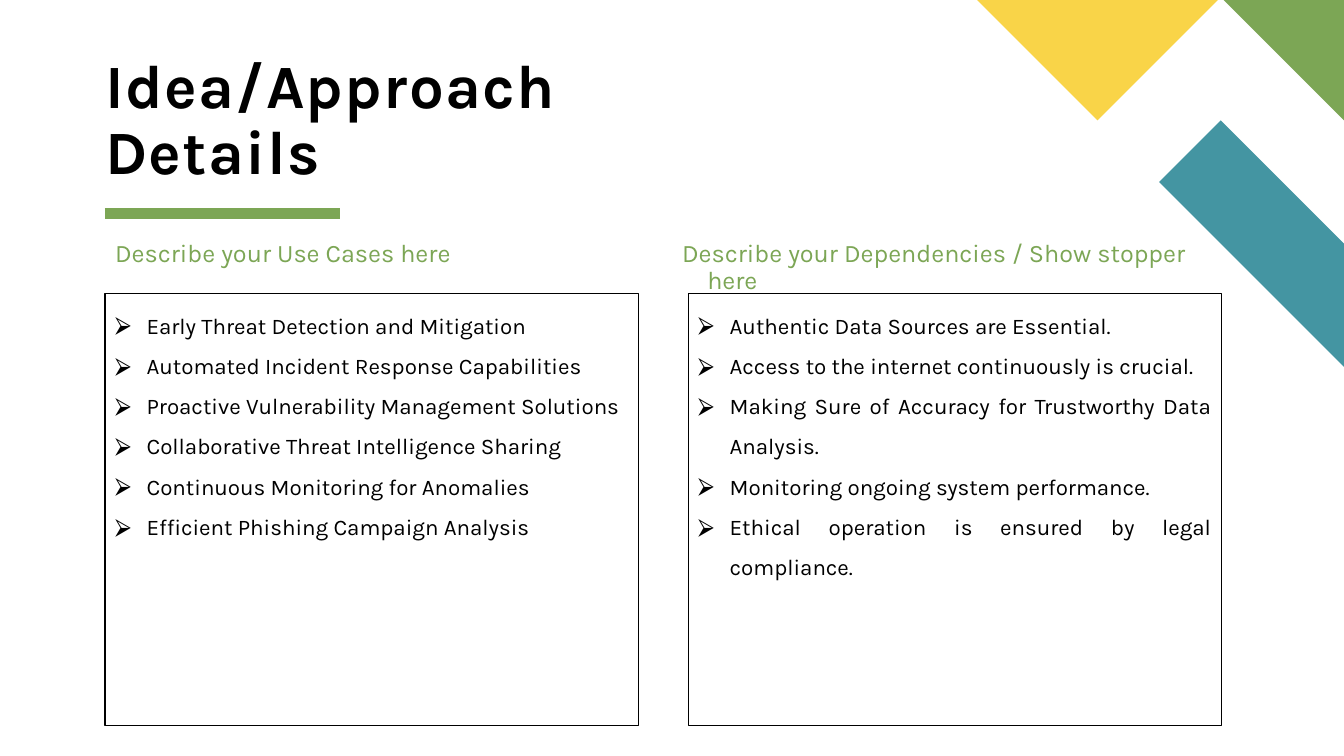
from dataclasses import dataclass

from lxml import etree
from pptx import Presentation
from pptx.dml.color import RGBColor
from pptx.enum.shapes import MSO_CONNECTOR
from pptx.enum.text import MSO_ANCHOR, MSO_AUTO_SIZE, PP_ALIGN
from pptx.oxml.ns import qn
from pptx.util import Pt

STRAIGHT = MSO_CONNECTOR.STRAIGHT
TOP, BOTTOM = MSO_ANCHOR.TOP, MSO_ANCHOR.BOTTOM
LEFT, JUSTIFY = PP_ALIGN.LEFT, PP_ALIGN.JUSTIFY
NO_FIT = MSO_AUTO_SIZE.NONE


@dataclass(frozen=True)
class Theme:
    font: str = "Karla"
    ink: RGBColor = RGBColor(0, 0, 0)
    green: RGBColor = RGBColor(0x7C, 0xA6, 0x55)
    teal: RGBColor = RGBColor(0x44, 0x95, 0xA2)
    yellow: RGBColor = RGBColor(0xF9, 0xD4, 0x48)
    title: int = 44
    head: int = 18
    item: int = 16


THEME = Theme()

BANDS = [
    (THEME.teal, [(960, 262), (960, 173.5), (872.5, 85.5), (828, 130)]),
    (THEME.green, [(960, 85.5), (960, 0), (874.5, 0)]),
    (THEME.yellow, [(698, 0), (784, 85.5), (870, 0)]),
]

USES = [
    "Early Threat Detection and Mitigation",
    "Automated Incident Response Capabilities",
    "Proactive Vulnerability Management Solutions",
    "Collaborative Threat Intelligence Sharing",
    "Continuous Monitoring for Anomalies",
    "Efficient Phishing Campaign Analysis",
]
NEEDS = [
    "Authentic Data Sources are Essential.",
    "Access to the internet continuously is crucial.",
    "Making Sure of Accuracy for Trustworthy Data Analysis.",
    "Monitoring ongoing system performance.",
    "Ethical operation is ensured by legal compliance.",
]


def add_band(slide, color, points):
    pen = slide.shapes.build_freeform(*points[0], scale=Pt(1))
    pen.add_line_segments(points[1:], close=True)
    band = pen.convert_to_shape()
    band.shadow.inherit = False
    band.fill.solid()
    band.fill.fore_color.rgb = color
    band.line.fill.background()


def add_rule(slide, left, top, width):
    rule = slide.shapes.add_connector(
        STRAIGHT, Pt(left), Pt(top), Pt(left + width), Pt(top))
    rule.line.color.rgb = THEME.green
    rule.line.width = Pt(8)
    etree.SubElement(rule._element.spPr, qn("a:effectLst"))


def place(shape, left, top, width, height):
    shape.left, shape.top = Pt(left), Pt(top)
    shape.width, shape.height = Pt(width), Pt(height)


def set_frame(shape, lines, anchor, inset):
    frame = shape.text_frame
    frame.text = "\n".join(lines)
    frame.word_wrap = True
    frame.auto_size = NO_FIT
    frame.vertical_anchor = anchor
    frame.margin_left = frame.margin_right = Pt(2 * inset)
    frame.margin_top = frame.margin_bottom = Pt(inset)
    return frame.paragraphs


def set_style(para, size, color, spacing, align=LEFT, bold=False):
    para.alignment = align
    para.line_spacing = spacing
    para.space_before = para.space_after = Pt(0)
    font = para.font
    font.name, font.size, font.bold = THEME.font, Pt(size), bold
    font.color.rgb = color


def set_bullet(para, indent, mark=None):
    """Hang the first line by indent points, with an optional mark."""
    props = para._p.get_or_add_pPr()
    props.set("marL", str(Pt(indent)))
    props.set("indent", str(-Pt(indent)))
    parts = [("a:buNone", {})]
    if mark:
        parts = [("a:buFont", {"typeface": "Arial"}), ("a:buChar", {"char": mark})]
    spot = props.find(qn("a:defRPr"))
    for tag, attrs in parts:
        spot.addprevious(etree.Element(qn(tag), attrs))


def fill_title(title, text):
    place(title, 75, 86.5, 455, 48)
    para = set_frame(title, [text], BOTTOM, 0)[0]
    set_style(para, THEME.title, THEME.ink, 0.9, bold=True)
    para.runs[0].font._element.set("spc", "100")


def fill_head(head, text, left, width):
    place(head, left, 168, width, 25)
    para = set_frame(head, [text], TOP, 3.6)[0]
    set_style(para, THEME.head, THEME.green, 0.9)
    set_bullet(para, 18)


def fill_list(box, items, left):
    place(box, left, 209.5, 381, 309)
    box.line.color.rgb = THEME.ink
    box.line.width = Pt(0.75)
    for para in set_frame(box, items, TOP, 3.6):
        set_style(para, THEME.item, THEME.ink, 1.5, JUSTIFY)
        set_bullet(para, 22.5, "⮚")


def main():
    deck = Presentation()
    deck.slide_width, deck.slide_height = Pt(960), Pt(540)
    slide = deck.slides.add_slide(deck.slide_layouts.get_by_name("Comparison"))
    title, head1, list1, head2, list2 = slide.placeholders

    add_rule(slide, 75, 152.5, 168)
    for color, points in BANDS:
        add_band(slide, color, points)
    fill_title(title, "Idea/Approach Details")
    fill_head(head1, "Describe your Use Cases here", 75, 381)
    fill_list(list1, USES, 75)
    fill_head(head2, "Describe your Dependencies / Show stopper here", 480, 405)
    fill_list(list2, NEEDS, 491.5)
    deck.save("out.pptx")


if __name__ == "__main__":
    main()
